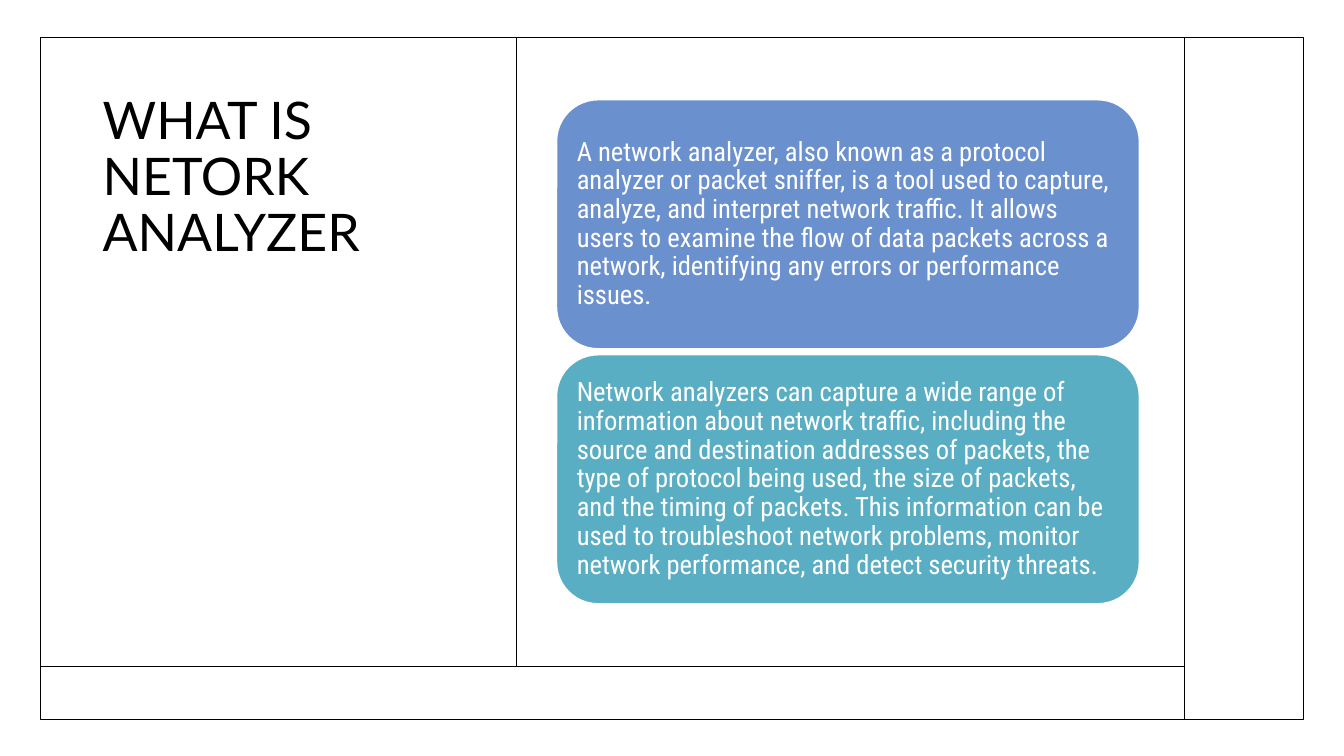
from lxml.etree import SubElement
from pptx import Presentation
from pptx.dml.color import RGBColor
from pptx.enum.shapes import MSO_CONNECTOR, MSO_SHAPE
from pptx.enum.text import MSO_ANCHOR, PP_ALIGN
from pptx.oxml.ns import qn
from pptx.util import Inches, Pt

BLACK = RGBColor(0x00, 0x00, 0x00)
WHITE = RGBColor(0xFF, 0xFF, 0xFF)
BLUE = RGBColor(0x6A, 0x90, 0xCE)
TEAL = RGBColor(0x5A, 0xAE, 0xC3)

# Grid of the ruled frame, in inches
LEFT, TITLE_EDGE, BODY_EDGE, RIGHT = 0.4, 5.12, 11.75, 12.93
TOP, FOOTER_EDGE, BOTTOM = 0.37, 6.61, 7.14

CARD_LEFT, CARD_TOP = 5.52, 0.99
CARD_WIDTH, CARD_HEIGHT, CARD_GAP = 5.78, 2.47, 0.06

CARDS = [
    (BLUE, "A network analyzer, also known as a protocol analyzer or packet "
           "sniffer, is a tool used to capture, analyze, and interpret network "
           "traffic. It allows users to examine the flow of data packets across "
           "a network, identifying any errors or performance issues."),
    (TEAL, "Network analyzers can capture a wide range of information about "
           "network traffic, including the source and destination addresses of "
           "packets, the type of protocol being used, the size of packets, and "
           "the timing of packets. This information can be used to troubleshoot "
           "network problems, monitor network performance, and detect security "
           "threats."),
]


def write(tf, text, font, size, color):
    tf.word_wrap = True
    p = tf.paragraphs[0]
    p.text = text
    p.alignment = PP_ALIGN.LEFT
    p.line_spacing = 0.9
    p.font.name = font
    p.font.size = Pt(size)
    p.font.color.rgb = color


prs = Presentation()
prs.slide_width, prs.slide_height = Inches(13.33), Inches(7.5)
s = prs.slides.add_slide(prs.slide_layouts[6])

frame = s.shapes.add_shape(MSO_SHAPE.RECTANGLE, Inches(LEFT), Inches(TOP),
                           Inches(RIGHT - LEFT), Inches(BOTTOM - TOP))
frame.shadow.inherit = False
frame.fill.background()
frame.line.color.rgb = BLACK
frame.line.width = Pt(1)

title = s.shapes.add_textbox(Inches(0.92), Inches(0.89), Inches(3.75), Inches(5.21))
write(title.text_frame, "WHAT IS NETORK ANALYZER", "Lato", 37, BLACK)

rules = [
    (LEFT, FOOTER_EDGE, BODY_EDGE, FOOTER_EDGE),
    (TITLE_EDGE, TOP, TITLE_EDGE, FOOTER_EDGE),
    (BODY_EDGE, TOP, BODY_EDGE, BOTTOM),
]
for ends in rules:
    rule = s.shapes.add_connector(MSO_CONNECTOR.STRAIGHT, *map(Inches, ends))
    rule.line.color.rgb = BLACK
    rule.line.width = Pt(1)
    SubElement(rule._element.spPr, qn("a:effectLst"))

for row, (color, text) in enumerate(CARDS):
    top = CARD_TOP + row * (CARD_HEIGHT + CARD_GAP)
    card = s.shapes.add_shape(MSO_SHAPE.ROUNDED_RECTANGLE, Inches(CARD_LEFT), Inches(top),
                              Inches(CARD_WIDTH), Inches(CARD_HEIGHT))
    card.shadow.inherit = False
    card.fill.solid()
    card.fill.fore_color.rgb = color
    card.line.color.rgb = WHITE
    card.line.width = Pt(1)
    tf = card.text_frame
    tf.margin_left = tf.margin_right = tf.margin_top = tf.margin_bottom = Inches(0.08)
    tf.vertical_anchor = MSO_ANCHOR.MIDDLE
    write(tf, text, "Roboto Condensed", 19, WHITE)

prs.save("out.pptx")
